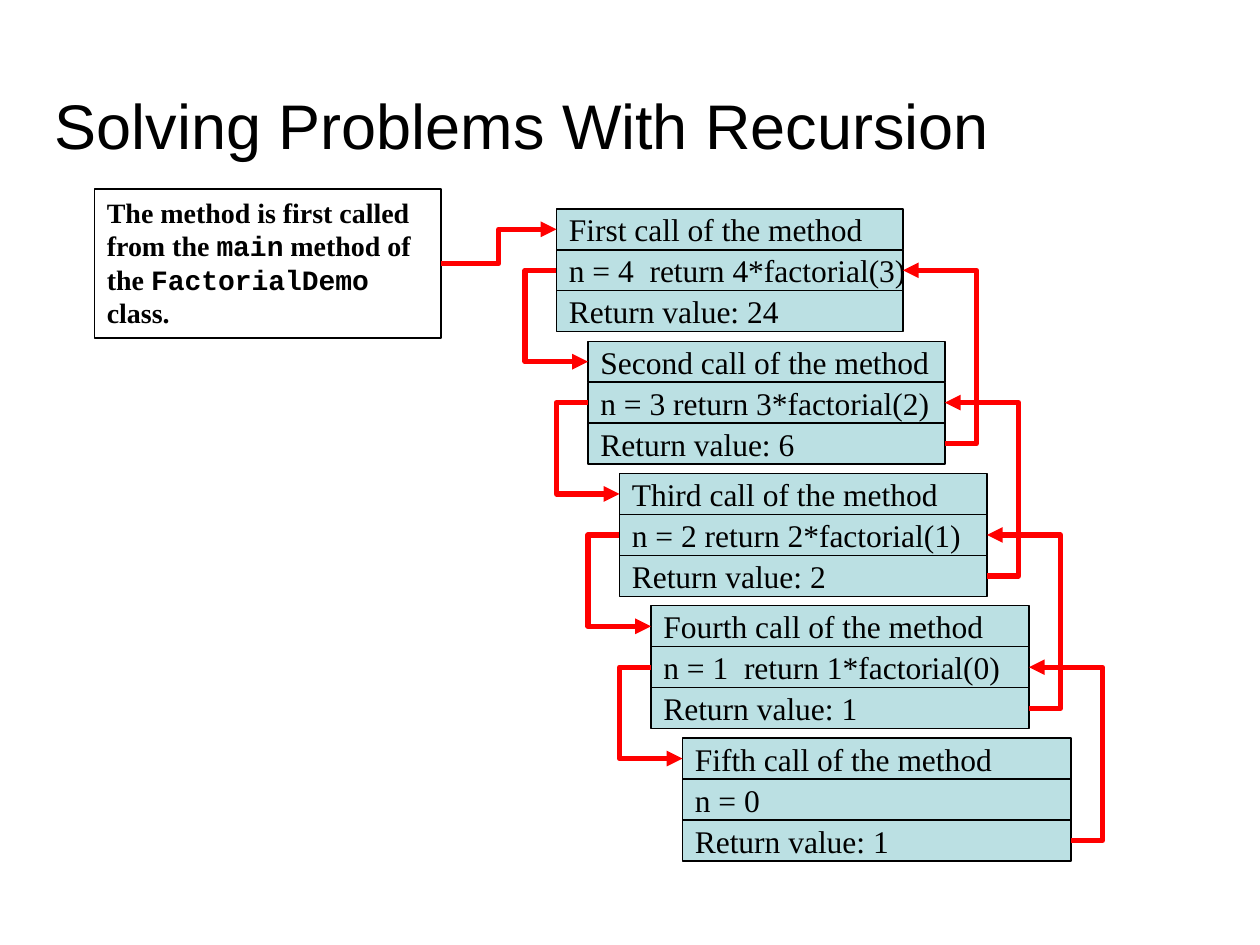
from typing import NamedTuple

from lxml.etree import SubElement
from pptx import Presentation
from pptx.dml.color import RGBColor
from pptx.enum.shapes import MSO_CONNECTOR, MSO_SHAPE
from pptx.enum.text import MSO_ANCHOR, MSO_AUTO_SIZE, PP_ALIGN
from pptx.oxml.ns import qn
from pptx.util import Emu, Pt

PX = 7620  # EMU per px, 120 px to the inch
SERIF, MONO = "Times New Roman", "Courier New"
BLACK, RED, PALE_BLUE = "000000", "FF0000", "BBE0E3"
LEFT, RIGHT = 1, 3  # connection sites of a rectangle

ROW_H = 39
FIRST_X, FIRST_Y, FIRST_W = 530, 199, 330
STEP_X, STEP_Y, STEP_W = 30, 126, 10


class Call(NamedTuple):
    title: str
    state: str
    result: str


CALLS = [
    Call("First call of the method", "n = 4  return 4*factorial(3)", "Return value: 24"),
    Call("Second call of the method", "n = 3 return 3*factorial(2)", "Return value: 6"),
    Call("Third call of the method", "n = 2 return 2*factorial(1)", "Return value: 2"),
    Call("Fourth call of the method", "n = 1  return 1*factorial(0)", "Return value: 1"),
    Call("Fifth call of the method", "n = 0", "Return value: 1"),
]
INTRO = [
    ("The method is first called from the ", SERIF),
    ("main", MONO),
    (" method of the ", SERIF),
    ("FactorialDemo", MONO),
    (" class.", SERIF),
]


def px(*lengths: int) -> list[Emu]:
    return [Emu(n * PX) for n in lengths]


def color(value: str) -> RGBColor:
    return RGBColor.from_string(value)


def add_text(p, text: str, *, size: int, font: str = SERIF, bold: bool = False) -> None:
    r = p.add_run()
    r.text = text
    r.font.size = Pt(size)
    r.font.name = font
    r.font.bold = bold
    r.font.color.rgb = color(BLACK)


def add_row(slide, x: int, y: int, w: int, text: str):
    sp = slide.shapes.add_shape(MSO_SHAPE.RECTANGLE, *px(x, y, w, ROW_H))
    sp.shadow.inherit = False
    sp.fill.solid()
    sp.fill.fore_color.rgb = color(PALE_BLUE)
    sp.line.color.rgb = color(BLACK)
    sp.line.width = Pt(0.75)
    tf = sp.text_frame
    tf.word_wrap = False
    tf.vertical_anchor = MSO_ANCHOR.MIDDLE
    p = tf.paragraphs[0]
    p.alignment = PP_ALIGN.LEFT
    add_text(p, text, size=18)
    return sp


def add_call(slide, i: int, call: Call) -> list:
    x, y, w = FIRST_X + i * STEP_X, FIRST_Y + i * STEP_Y, FIRST_W + i * STEP_W
    return [add_row(slide, x, y + k * ROW_H, w, text) for k, text in enumerate(call)]


def add_intro(slide):
    sp = slide.shapes.add_textbox(*px(90, 180, 330, 142))
    sp.line.color.rgb = color(BLACK)
    sp.line.width = Pt(1)
    tf = sp.text_frame
    tf.word_wrap = True
    tf.auto_size = MSO_AUTO_SIZE.SHAPE_TO_FIT_TEXT
    for text, font in INTRO:
        add_text(tf.paragraphs[0], text, size=16, font=font, bold=True)
    return sp


def add_arrow(slide, start, start_site: int, end, end_site: int, bend: float) -> None:
    """Join two shapes by an elbow; bend is the turn as a share of its width."""
    cxn = slide.shapes.add_connector(MSO_CONNECTOR.ELBOW, 0, 0, 0, 0)
    cxn.begin_connect(start, start_site)
    cxn.end_connect(end, end_site)
    cxn.line.color.rgb = color(RED)
    cxn.line.width = Pt(3)
    SubElement(cxn.line._get_or_add_ln(), qn("a:tailEnd"), type="triangle")
    sp_pr = cxn._element.spPr
    SubElement(sp_pr, qn("a:effectLst"))
    guides = sp_pr.find(qn("a:prstGeom")).get_or_add_avLst()
    SubElement(guides, qn("a:gd"), name="adj1", fmla=f"val {round(bend * 100000)}")


def add_title(slide, text: str) -> None:
    sp = slide.shapes.title
    sp.left, sp.top, sp.width, sp.height = px(40, 40, 1070, 120)
    tf = sp.text_frame
    tf.vertical_anchor = MSO_ANCHOR.BOTTOM
    p = tf.paragraphs[0]
    p.alignment = PP_ALIGN.LEFT
    add_text(p, text, size=36, font="Arial")


def main() -> None:
    prs = Presentation()
    prs.slide_width, prs.slide_height = px(1200, 900)
    slide = prs.slides.add_slide(prs.slide_layouts[5])
    add_title(slide, "Solving Problems With Recursion")

    intro = add_intro(slide)
    stack = [add_call(slide, i, call) for i, call in enumerate(CALLS)]
    add_arrow(slide, intro, RIGHT, stack[0][0], LEFT, 0.5)
    for (_, caller, _), (callee, _, result) in zip(stack, stack[1:]):
        add_arrow(slide, caller, LEFT, callee, LEFT, -1)
        add_arrow(slide, result, RIGHT, caller, RIGHT, -0.75)

    prs.save("out.pptx")


if __name__ == "__main__":
    main()
